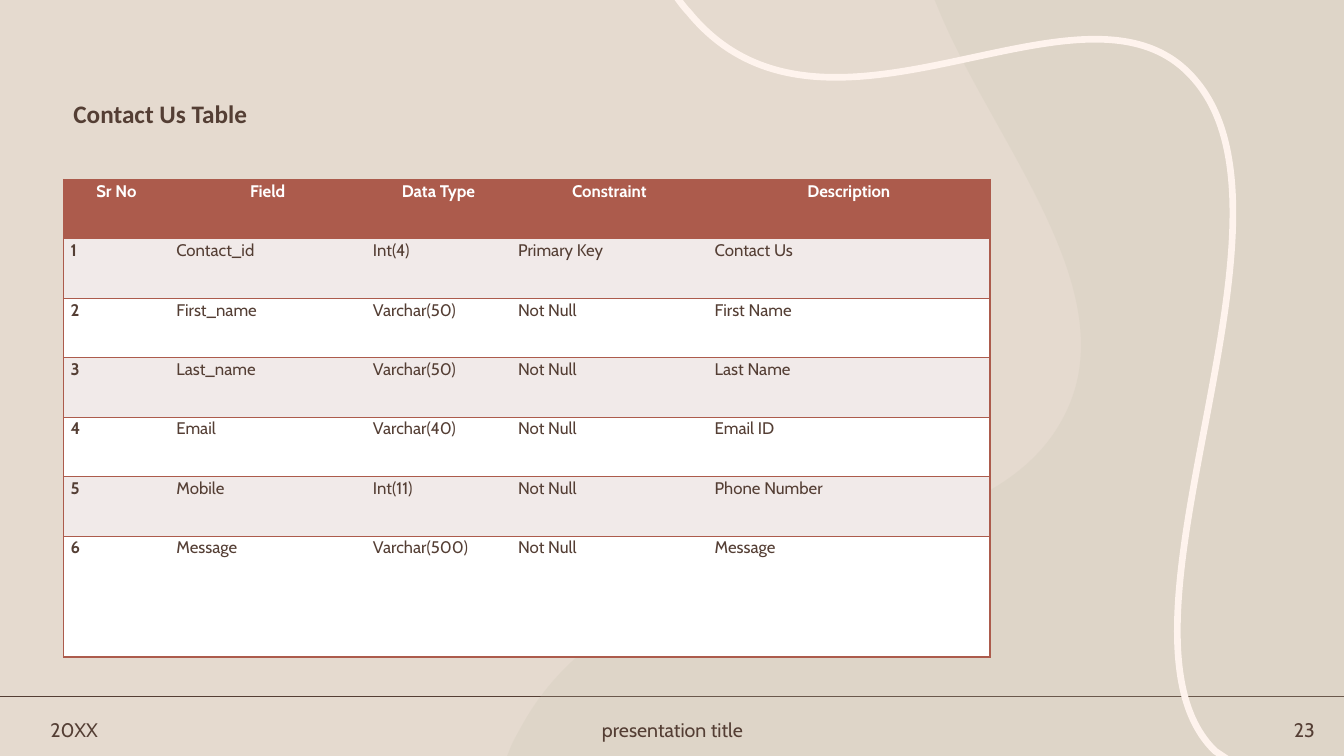
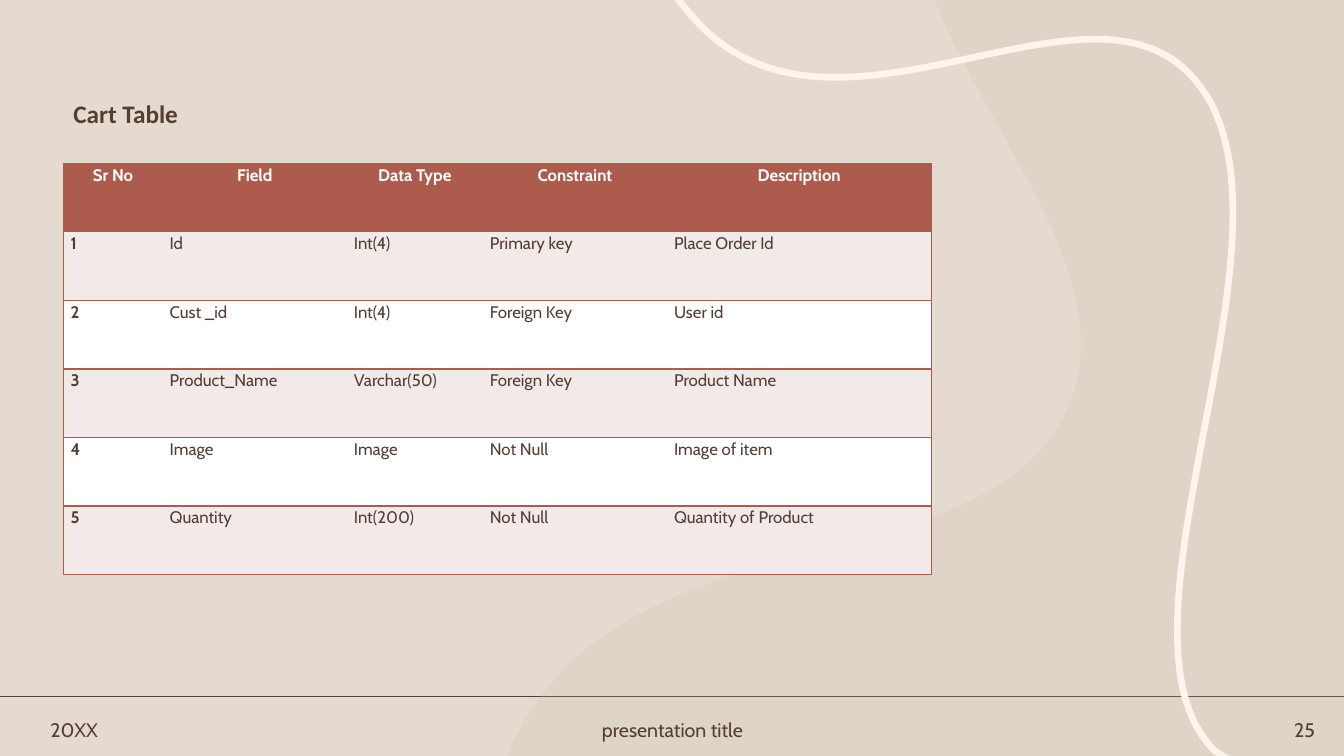
from collections import namedtuple
from dataclasses import dataclass

from pptx import Presentation
from pptx.dml.color import RGBColor
from pptx.enum.shapes import MSO_CONNECTOR
from pptx.enum.text import MSO_ANCHOR, PP_ALIGN as AL
from pptx.oxml.ns import qn
from pptx.util import Inches, Pt
from lxml.etree import SubElement

Box = namedtuple("Box", "x y w h")
PAGE = Box(0, 0, 13.33, 7.5)


@dataclass(frozen=True)
class Theme:
    paper: str = "E5DACF"
    ink: str = "543E34"
    hill: str = "C6C4AF"
    hill_alpha: int = 20
    ribbon: str = "FEF3ED"
    accent: str = "AC5B4C"
    band: str = "F1EAE9"
    white: str = "FFFFFF"
    title_font: str = "Calibri"
    body_font: str = "Cabin"
    title_pt: float = 18
    cell_pt: float = 12
    footer_pt: float = 14
    rule_pt: float = 1.25
    ribbon_pt: float = 4.75
    border_pt: float = 1


T = Theme()

# Outlines on the page grid: pairs are straight steps, sixes are Bézier curves.
HILL = [(9.27, 0), (13.33, 0), (13.33, 7.5), (5.03, 7.5), (5.07, 7.4),
        (5.11, 7.31, 5.15, 7.25, 5.17, 7.21),
        (6.31, 5.12, 9.62, 5.78, 10.52, 4.19),
        (11.23, 2.96, 9.88, 1.46, 9.32, 0.12)]
RIBBON = [(12.17, 7.53), (12.14, 7.51), (12.05, 7.45),
          (10.84, 6.27, 13.07, 2.2, 11.85, 0.79),
          (10.78, -0.47, 8.2, 1.8, 6.83, 0.12),
          (6.8, 0.09, 6.76, 0.04, 6.71, -0.03)]
HILL_W, RIBBON_W = 8.3, 5.52

HEADINGS = ["Sr No", "Field", "Data Type", "Constraint", "Description"]
COLUMN_WEIGHTS = [1.05, 1.95, 1.44, 1.95, 2.8]

SLIDES = [
    dict(title="Contact Us Table", number="23", top=1.78, width=9.19,
         row_h=0.59, last_h=1.2, records=[
             ("Contact_id", "Int(4)", "Primary Key", "Contact Us"),
             ("First_name", "Varchar(50)", "Not Null", "First Name"),
             ("Last_name", "Varchar(50)", "Not Null", "Last Name"),
             ("Email", "Varchar(40)", "Not Null", "Email ID"),
             ("Mobile", "Int(11)", "Not Null", "Phone Number"),
             ("Message", "Varchar(500)", "Not Null", "Message")]),
    dict(title="Cart Table", number="25", top=1.62, width=8.61,
         row_h=0.68, last_h=0.68, records=[
             ("Id", "Int(4)", "Primary key", "Place Order Id"),
             ("Cust _id", "Int(4)", "Foreign Key", "User id"),
             ("Product_Name", "Varchar(50)", "Foreign Key", "Product Name"),
             ("Image", "Image", "Not Null", "Image of item"),
             ("Quantity", "Int(200)", "Not Null", "Quantity of Product")]),
]


def rgb(value):
    return RGBColor.from_string(value)


def apply(obj, **formats):
    for name, value in formats.items():
        setattr(obj, name, value)


def emu(box):
    return [Inches(v) for v in box]


def write(p, text, font, size, color, bold=False, **paragraph):
    apply(p, **paragraph)
    r = p.add_run()
    r.text = text
    apply(r.font, name=font, size=Pt(size), bold=bold)
    r.font.color.rgb = rgb(color)


def add_text(s, box, text, *style, **formats):
    tf = s.shapes.add_textbox(*emu(box)).text_frame
    apply(tf, word_wrap=True, vertical_anchor=MSO_ANCHOR.MIDDLE)
    write(tf.paragraphs[0], text, *style, **formats)


def add_outline(s, box, outline, width, close):
    """Build the outline from its anchor points, then bend the curved steps."""
    def place(x, y):
        return Inches(box.x + x * box.w / PAGE.w), Inches(box.y + y * box.h / PAGE.h)

    anchors = [place(*step[-2:]) for step in outline]
    builder = s.shapes.build_freeform(*anchors[0])
    builder.add_line_segments(anchors[1:], close=close)
    sp = builder.convert_to_shape()
    sp.shadow.inherit = False
    sp.width = Inches(width * box.w / PAGE.w)
    next(sp._element.iter(qn("a:path"))).set("w", str(sp.width))
    for node, step in zip(list(sp._element.iter(qn("a:lnTo"))), outline[1:]):
        if len(step) == 2:
            continue
        node.tag = qn("a:cubicBezTo")
        node.remove(node[0])
        for i in (0, 2, 4):
            x, y = place(*step[i:i + 2])
            SubElement(node, qn("a:pt"), x=str(x - sp.left), y=str(y - sp.top))
    return sp


def add_backdrop(s, box):
    s.background.fill.solid()
    s.background.fill.fore_color.rgb = rgb(T.paper)

    y = Inches(box.y + box.h - 0.59)
    rule = s.shapes.add_connector(MSO_CONNECTOR.STRAIGHT, Inches(box.x), y,
                                  Inches(box.x + box.w), y)
    rule.line.color.rgb = rgb(T.ink)
    rule.line.width = Pt(T.rule_pt)
    SubElement(rule._element.spPr, qn("a:effectLst"))

    hill = add_outline(s, box, HILL, HILL_W, close=True)
    hill.fill.solid()
    hill.fill.fore_color.rgb = rgb(T.hill)
    hill.line.fill.background()
    color = hill._element.spPr.find(qn("a:solidFill"))[0]
    SubElement(color, qn("a:alpha"), val=str(T.hill_alpha * 1000))

    ribbon = add_outline(s, box, RIBBON, RIBBON_W, close=False)
    ribbon.fill.background()
    ribbon.line.color.rgb = rgb(T.ribbon)
    ribbon.line.width = Pt(T.ribbon_pt)


def add_footer(s, box, number):
    side, middle = 1.08, 3.76
    parts = [("20XX", 0, side, AL.LEFT),
             ("presentation title", 4.39, middle, AL.CENTER),
             (number, box.w - side, side, AL.RIGHT)]
    for text, dx, w, align in parts:
        add_text(s, Box(box.x + dx, box.y, w, box.h), text,
                 T.body_font, T.footer_pt, T.ink, alignment=align)


def set_borders(cell, first, last):
    """Rule above and below; close the sides only at the table's edges."""
    tc_pr = cell._tc.get_or_add_tcPr()
    for tag, shown in (("lnL", first), ("lnR", last), ("lnT", True), ("lnB", True)):
        ln = SubElement(tc_pr, qn("a:" + tag), w=str(Pt(T.border_pt)))
        if shown:
            fill = SubElement(ln, qn("a:solidFill"))
            SubElement(fill, qn("a:srgbClr"), val=T.accent)
        else:
            SubElement(ln, qn("a:noFill"))


def add_field_table(s, box, records, row_h, last_h):
    rows = [HEADINGS] + [(str(i), *rec) for i, rec in enumerate(records, 1)]
    table = s.shapes.add_table(len(rows), len(HEADINGS), *emu(box)).table
    table.horz_banding = False
    for column, weight in zip(table.columns, COLUMN_WEIGHTS):
        column.width = Inches(box.w * weight / sum(COLUMN_WEIGHTS))
    for i, values in enumerate(rows):
        header = i == 0
        fill = T.accent if header else T.band if i % 2 else T.white
        table.rows[i].height = Inches(last_h if i == len(rows) - 1 else row_h)
        for j, text in enumerate(values):
            cell = table.cell(i, j)
            apply(cell, margin_left=Inches(0.07), margin_right=Inches(0.07),
                  margin_top=0, margin_bottom=0, vertical_anchor=MSO_ANCHOR.TOP)
            set_borders(cell, j == 0, j == len(values) - 1)
            cell.fill.solid()
            cell.fill.fore_color.rgb = rgb(fill)
            write(cell.text_frame.paragraphs[0], text, T.body_font, T.cell_pt,
                  T.white if header else T.ink, bold=header or j == 0,
                  alignment=AL.CENTER if header else AL.LEFT,
                  line_spacing=1.07, space_after=Pt(8))


def add_table_slide(prs, box, title, number, top, width, records, row_h, last_h):
    s = prs.slides.add_slide(prs.slide_layouts[6])
    left = box.x + 0.63
    add_backdrop(s, box)
    add_text(s, Box(left, box.y + 0.77, 11.5, 0.74), title, T.title_font,
             T.title_pt, T.ink, bold=True, line_spacing=0.9)
    height = row_h * len(records) + last_h
    add_field_table(s, Box(left, box.y + top, width, height), records, row_h, last_h)
    add_footer(s, Box(box.x + 0.4, box.y + 7.07, 12.74, 0.34), number)


def main():
    prs = Presentation()
    apply(prs, slide_width=Inches(PAGE.w), slide_height=Inches(PAGE.h))
    for content in SLIDES:
        add_table_slide(prs, PAGE, **content)
    prs.save("out.pptx")


if __name__ == "__main__":
    main()
